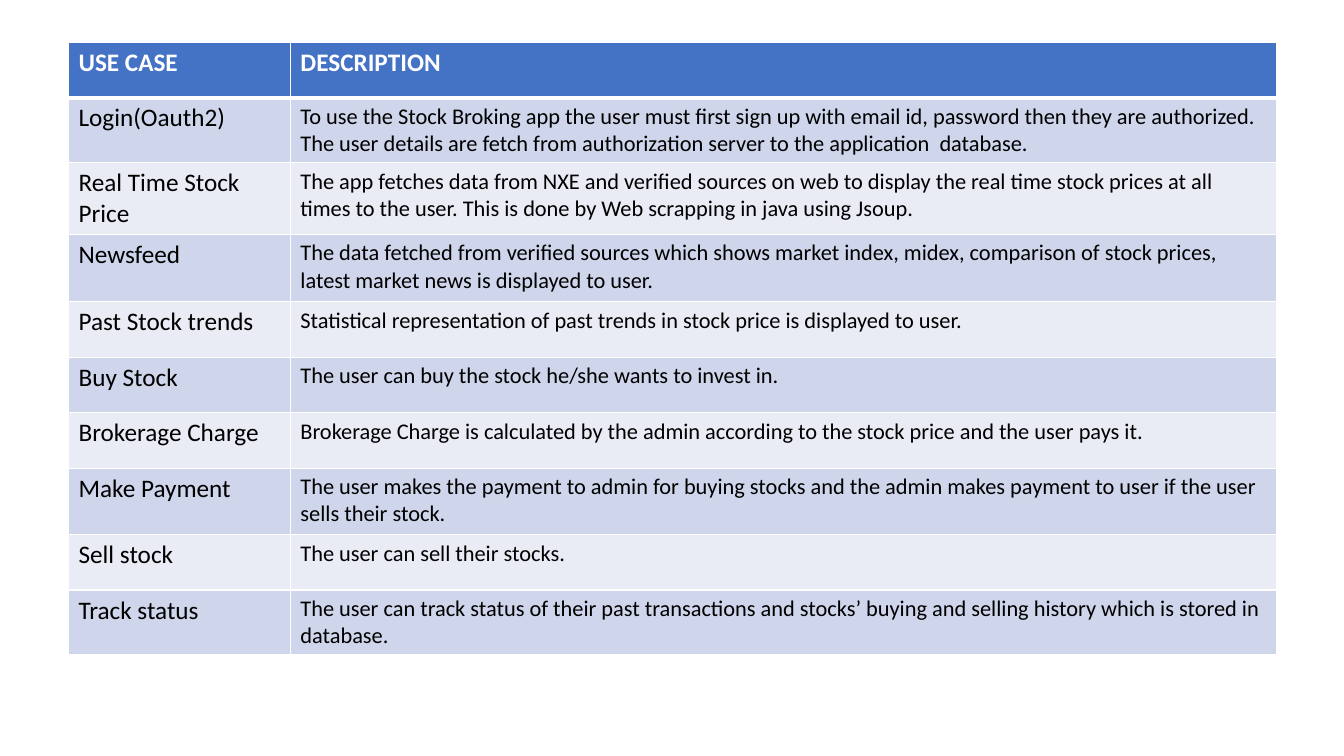
from lxml.etree import SubElement
from pptx import Presentation
from pptx.dml.color import RGBColor
from pptx.oxml.ns import qn
from pptx.util import Pt

PX = 9144
WHITE, BLACK, BLUE = "FFFFFF", "000000", "4472C4"
BANDS = ["E9EBF5", "CFD5EA"]


def color(hex_code):
    return RGBColor.from_string(hex_code)


def add_border(cell, side, points):
    line = SubElement(cell._tc.get_or_add_tcPr(), qn(f"a:ln{side}"), w=str(Pt(points)))
    fill = SubElement(line, qn("a:solidFill"))
    SubElement(fill, qn("a:srgbClr"), val=WHITE)


use_cases = [
    (55, "USE CASE", "DESCRIPTION"),
    (64, "Login(Oauth2)",
     "To use the Stock Broking app the user must first sign up with email id, password then they are "
     "authorized. The user details are fetch from authorization server to the application  database."),
    (58, "Real Time Stock Price",
     "The app fetches data from NXE and verified sources on web to display the real time stock prices "
     "at all times to the user. This is done by Web scrapping in java using Jsoup."),
    (67, "Newsfeed",
     "The data fetched from verified sources which shows market index, midex, comparison of stock "
     "prices, latest market news is displayed to user."),
    (55, "Past Stock trends",
     "Statistical representation of past trends in stock price is displayed to user."),
    (55, "Buy Stock", "The user can buy the stock he/she wants to invest in."),
    (55, "Brokerage Charge",
     "Brokerage Charge is calculated by the admin according to the stock price and the user pays it."),
    (66, "Make Payment",
     "The user makes the payment to admin for buying stocks and the admin makes payment to user if "
     "the user sells their stock."),
    (55, "Sell stock", "The user can sell their stocks."),
    (55, "Track status",
     "The user can track status of their past transactions and stocks’ buying and selling history "
     "which is stored in database."),
]
column_widths = [220, 978]
table_height = sum(height for height, *texts in use_cases)

deck = Presentation()
deck.slide_width, deck.slide_height = 1333 * PX, 750 * PX
page = deck.slides.add_slide(deck.slide_layouts[6])

frame = page.shapes.add_table(len(use_cases), len(column_widths), 68 * PX, 42 * PX,
                              sum(column_widths) * PX, table_height * PX)
table = frame.table
for column, width in zip(table.columns, column_widths):
    column.width = width * PX

for row, (height, *texts) in enumerate(use_cases):
    table.rows[row].height = height * PX
    header = row == 0
    for col, text in enumerate(texts):
        cell = table.cell(row, col)
        cell.text = text
        font = cell.text_frame.paragraphs[0].font
        font.name = "Calibri"
        font.size = Pt(18 if header or col == 0 else 16)
        font.bold = header
        font.color.rgb = color(WHITE if header else BLACK)
        for side in "LRTB":
            thick = (row, side) in [(0, "B"), (1, "T")]
            add_border(cell, side, 3 if thick else 1)
        cell.fill.solid()
        cell.fill.fore_color.rgb = color(BLUE if header else BANDS[row % 2])

deck.save("out.pptx")
